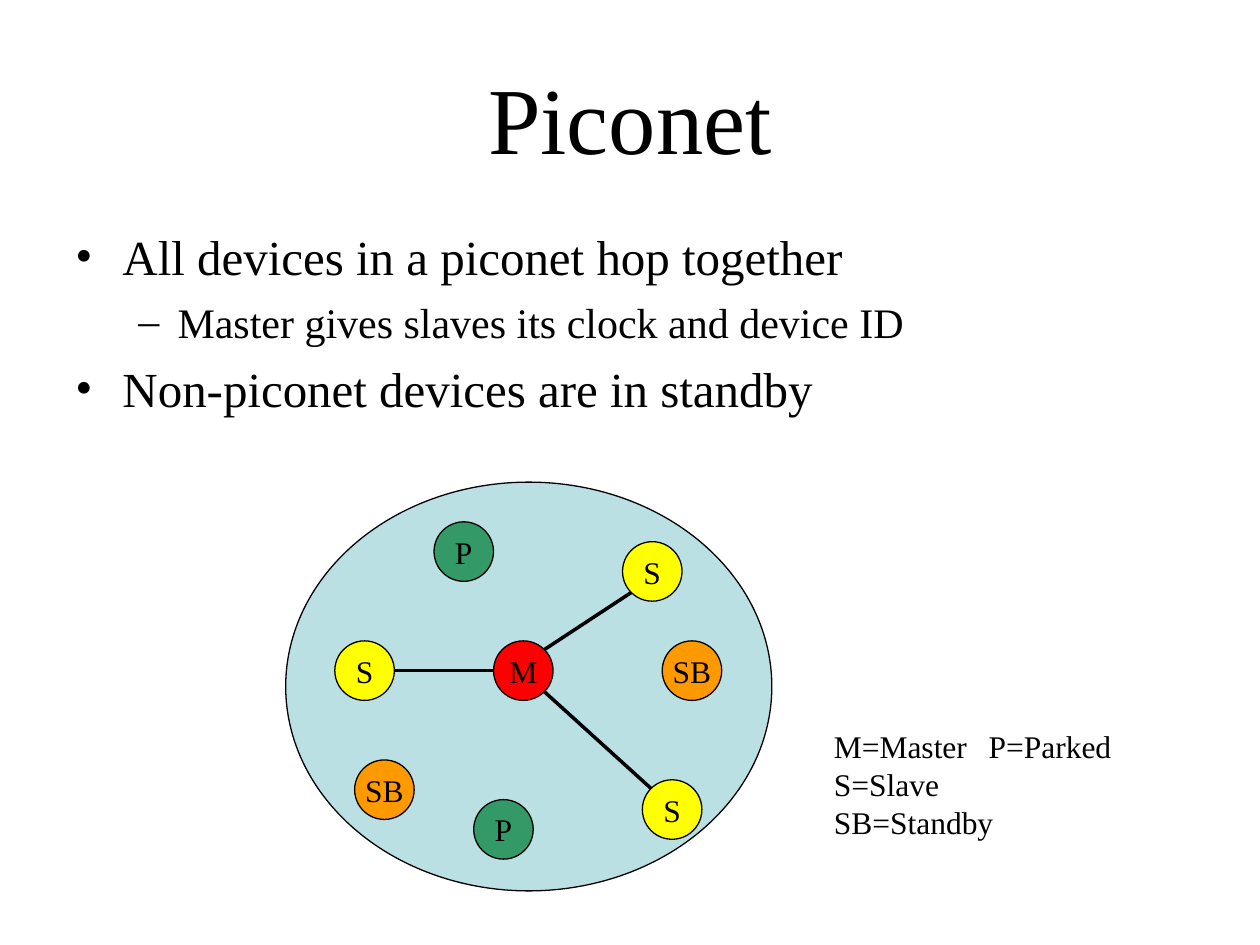
from dataclasses import dataclass
from math import cos, radians, sin

from lxml.etree import SubElement
from pptx import Presentation
from pptx.dml.color import RGBColor
from pptx.enum.shapes import MSO_CONNECTOR, MSO_SHAPE
from pptx.enum.text import MSO_ANCHOR, MSO_AUTO_SIZE, PP_ALIGN
from pptx.oxml.ns import qn
from pptx.shapes.autoshape import Shape
from pptx.shapes.shapetree import GroupShapes, SlideShapes
from pptx.text.text import TextFrame, _Paragraph
from pptx.util import Cm, Pt

COLORS = {
    "ink": "000000",
    "area": "BBE0E3",
    "M": "FF0000",
    "S": "FFFF00",
    "P": "339966",
    "SB": "FF9900",
}
FONT = "Times New Roman"
DIAMETER = 1.2
MASTER_X, MASTER_Y = 10.55, 13.52


@dataclass(frozen=True)
class Bullet:
    text: str
    mark: str
    size: int
    before: int
    margin: float
    hanging: float
    level: int = 0


@dataclass(frozen=True)
class Device:
    """A device whose centre lies dx, dy centimetres from the master."""
    role: str
    dx: float
    dy: float


@dataclass(frozen=True)
class Link:
    """A line from the master to a slave, leaving and arriving at rim angles."""
    slave: Device
    leave: int
    arrive: int


MASTER = Device("M", 0, 0)
LEFT_SLAVE = Device("S", -3.2, 0)
LOWER_SLAVE = Device("S", 3, 2.8)
UPPER_SLAVE = Device("S", 2.6, -2)
DEVICES = [
    MASTER, LEFT_SLAVE, LOWER_SLAVE, UPPER_SLAVE,
    Device("P", -1.2, -2.4), Device("P", -0.4, 3.2),
    Device("SB", -2.8, 2.4), Device("SB", 3.4, 0),
]
LINKS = [
    Link(LEFT_SLAVE, 180, 0),
    Link(UPPER_SLAVE, -45, 135),
    Link(LOWER_SLAVE, 45, 225),
]
BULLETS = [
    Bullet("All devices in a piconet hop together", "•", 28, 7, 0.95, 0.95),
    Bullet("Master gives slaves its clock and device ID", "–", 24, 6, 2.06, 0.79, 1),
    Bullet("Non-piconet devices are in standby", "•", 28, 7, 0.95, 0.95),
]
LEGEND = ["M=Master\tP=Parked", "S=Slave\tSB=Standby"]


def color(name: str) -> RGBColor:
    return RGBColor.from_string(COLORS[name])


def add_run(paragraph: _Paragraph, text: str, size: int) -> None:
    run = paragraph.add_run()
    run.text = text
    run.font.size = Pt(size)
    run.font.name = FONT
    run.font.color.rgb = color("ink")


def add_text_frame(shapes: SlideShapes, left: float, top: float,
                   width: float, height: float, wrap: bool = True) -> TextFrame:
    frame = shapes.add_textbox(Cm(left), Cm(top), Cm(width), Cm(height)).text_frame
    frame.word_wrap = wrap
    return frame


def next_paragraph(frame: TextFrame, index: int) -> _Paragraph:
    return frame.add_paragraph() if index else frame.paragraphs[0]


def add_bullet(paragraph: _Paragraph, bullet: Bullet) -> None:
    paragraph.level = bullet.level
    paragraph.space_before = Pt(bullet.before)
    properties = paragraph._p.get_or_add_pPr()
    properties.set("marL", str(Cm(bullet.margin)))
    properties.set("indent", str(-Cm(bullet.hanging)))
    SubElement(properties, qn("a:buFont"), typeface=FONT)
    SubElement(properties, qn("a:buChar"), char=bullet.mark)
    add_run(paragraph, bullet.text, bullet.size)


def add_legend_line(paragraph: _Paragraph, text: str) -> None:
    properties = paragraph._p.get_or_add_pPr()
    stops = SubElement(properties, qn("a:tabLst"))
    SubElement(stops, qn("a:tab"), pos=str(Cm(3.12)), algn="l")
    add_run(paragraph, text, 18)


def add_circle(shapes: GroupShapes, left: float, top: float,
               width: float, height: float, fill: str) -> Shape:
    circle = shapes.add_shape(MSO_SHAPE.FLOWCHART_CONNECTOR,
                              Cm(left), Cm(top), Cm(width), Cm(height))
    circle.shadow.inherit = False
    circle.fill.solid()
    circle.fill.fore_color.rgb = color(fill)
    circle.line.color.rgb = color("ink")
    circle.line.width = Pt(0.75)
    return circle


def add_device(shapes: GroupShapes, device: Device) -> None:
    radius = DIAMETER / 2
    circle = add_circle(shapes, MASTER_X + device.dx - radius,
                        MASTER_Y + device.dy - radius,
                        DIAMETER, DIAMETER, device.role)
    frame = circle.text_frame
    frame.word_wrap = False
    frame.vertical_anchor = MSO_ANCHOR.MIDDLE
    label = frame.paragraphs[0]
    label.alignment = PP_ALIGN.CENTER
    add_run(label, device.role, 18)


def rim_point(device: Device, degrees: int) -> tuple[Cm, Cm]:
    """Point on the device's rim, with angles running clockwise from the right."""
    angle = radians(degrees)
    return (Cm(MASTER_X + device.dx + DIAMETER / 2 * cos(angle)),
            Cm(MASTER_Y + device.dy + DIAMETER / 2 * sin(angle)))


def add_link(shapes: GroupShapes, link: Link) -> None:
    line = shapes.add_connector(MSO_CONNECTOR.STRAIGHT,
                                *rim_point(MASTER, link.leave),
                                *rim_point(link.slave, link.arrive))
    line.line.color.rgb = color("ink")
    line.line.width = Pt(2)
    SubElement(line._element.spPr, qn("a:effectLst"))


def main() -> None:
    presentation = Presentation()
    presentation.slide_width, presentation.slide_height = Cm(25.4), Cm(19.05)
    slide = presentation.slides.add_slide(presentation.slide_layouts[6])

    title = add_text_frame(slide.shapes, 1.27, 0.76, 22.86, 3.18)
    title.vertical_anchor = MSO_ANCHOR.MIDDLE
    title.paragraphs[0].alignment = PP_ALIGN.CENTER
    add_run(title.paragraphs[0], "Piconet", 54)

    body = add_text_frame(slide.shapes, 1.27, 4.45, 22.86, 12.57)
    for index, bullet in enumerate(BULLETS):
        add_bullet(next_paragraph(body, index), bullet)

    piconet = slide.shapes.add_group_shape().shapes
    add_circle(piconet, 5.76, 9.72, 9.8, 8.24, "area")
    for device in DEVICES:
        add_device(piconet, device)
    for link in LINKS:
        add_link(piconet, link)

    legend = add_text_frame(slide.shapes, 16.56, 14.53, 6.78, 1.78, wrap=False)
    legend.auto_size = MSO_AUTO_SIZE.SHAPE_TO_FIT_TEXT
    for index, text in enumerate(LEGEND):
        add_legend_line(next_paragraph(legend, index), text)

    presentation.save("out.pptx")


if __name__ == "__main__":
    main()
